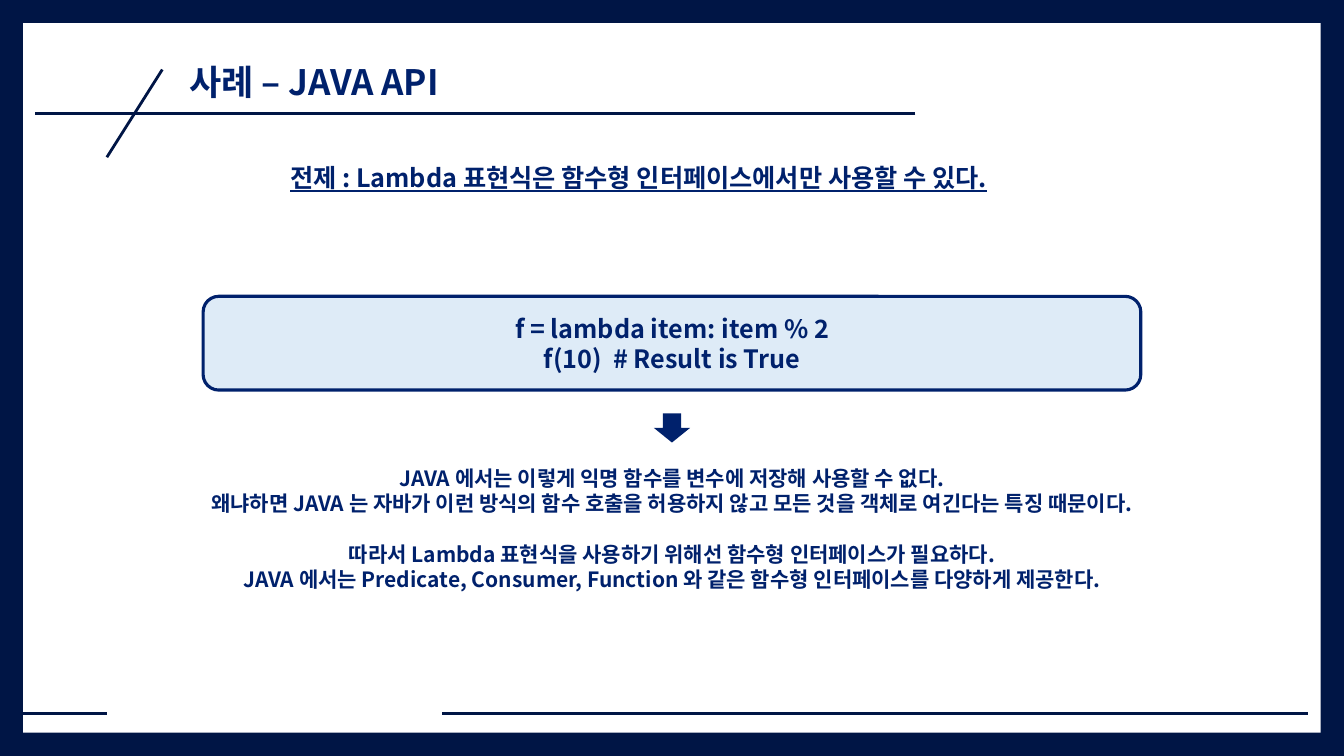
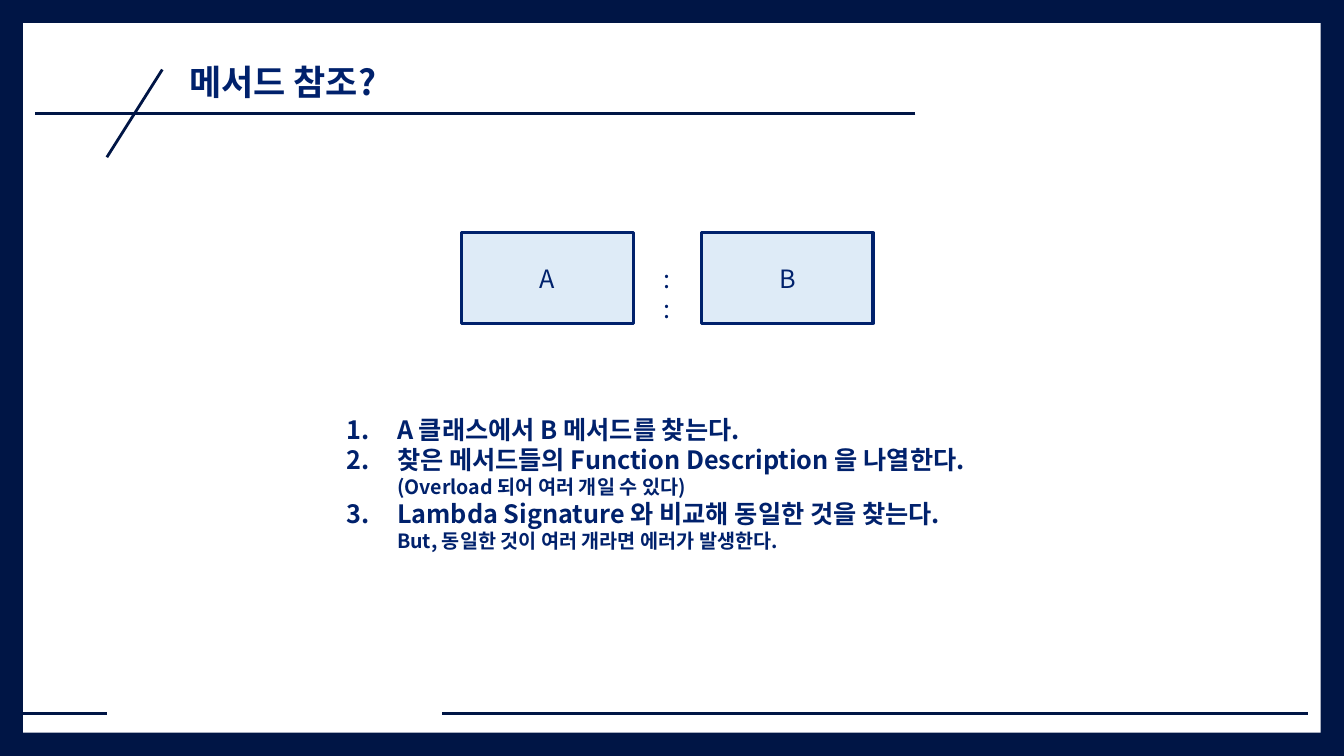
import pptx
import pptx.util
import pptx.dml.color
import pptx.enum.shapes
import pptx.enum.text
import pptx.oxml.ns
import lxml.etree

WIDTH, HEIGHT, BORDER = 13.33, 7.5, 0.23
FONT = "Noto Sans CJK KR"
DARK, NAVY, PALE, WHITE = "001545", "00216C", "DEEBF7", "FFFFFF"
SHAPES = pptx.enum.shapes.MSO_SHAPE
LEFT, CENTER = pptx.enum.text.PP_ALIGN.LEFT, pptx.enum.text.PP_ALIGN.CENTER
TOP, MIDDLE = pptx.enum.text.MSO_ANCHOR.TOP, pptx.enum.text.MSO_ANCHOR.MIDDLE

FRAME_LINES = [
    (9.08, 1.13, 0.35, 1.13),
    (1.06, 1.56, 1.61, 0.69),
    (12.97, 7.08, 4.38, 7.08),
    (1.06, 7.08, BORDER, 7.08),
]

API_TITLE = "사례 – JAVA API"
PREMISE = "전제 : Lambda 표현식은 함수형 인터페이스에서만 사용할 수 있다."
CODE = ["f = lambda item: item % 2", "f(10)  # Result is True"]
REASONS = [
    "JAVA 에서는 이렇게 익명 함수를 변수에 저장해 사용할 수 없다.",
    "왜냐하면 JAVA 는 자바가 이런 방식의 함수 호출을 허용하지 않고 모든 것을 객체로 여긴다는 특징 때문이다.",
    "따라서 Lambda 표현식을 사용하기 위해선 함수형 인터페이스가 필요하다.",
    "JAVA 에서는 Predicate, Consumer, Function 와 같은 함수형 인터페이스를 다양하게 제공한다.",
]
GROUP_START = 2

REFERENCE_TITLE = "메서드 참조?"
OPERANDS = ["A", "B"]
OPERATOR = "::"
STEPS = [
    ("A 클래스에서 B 메서드를 찾는다.",),
    ("찾은 메서드들의 Function Description 을 나열한다.", "(Overload 되어 여러 개일 수 있다)"),
    ("Lambda Signature 와 비교해 동일한 것을 찾는다.", "But, 동일한 것이 여러 개라면 에러가 발생한다."),
]
NOTE_SIZE = 14


def color(value):
    return pptx.dml.color.RGBColor.from_string(value)


def inches(values):
    return [pptx.util.Inches(value) for value in values]


def centered(width):
    return (WIDTH - width) / 2


def paint(target, value):
    target.solid()
    target.fore_color.rgb = color(value)


def add_span(para, text, size, **formats):
    span = para.add_run()
    span.text = text
    span.font.color.rgb = color(NAVY)
    for name, value in {"name": FONT, "size": pptx.util.Pt(size), **formats}.items():
        setattr(span.font, name, value)
    east = lxml.etree.SubElement(span.font._element, pptx.oxml.ns.qn("a:ea"))
    east.set("typeface", FONT)


def write(box, paragraphs, size=18, align=LEFT, anchor=TOP, **formats):
    frame = box.text_frame
    frame.word_wrap = True
    frame.vertical_anchor = anchor
    for index, lines in enumerate(paragraphs):
        para = frame.add_paragraph() if index else frame.paragraphs[0]
        para.alignment = align
        first, *notes = [lines] if isinstance(lines, str) else lines
        add_span(para, first, size, **formats)
        for note in notes:
            para.add_line_break()
            add_span(para, note, NOTE_SIZE, **formats)
    return frame.paragraphs


def add_text(page, at, paragraphs, **formats):
    return write(page.shapes.add_textbox(*inches(at)), paragraphs, **formats)


def add_block(page, kind, at, fill, outline=None):
    block = page.shapes.add_shape(kind, *inches(at))
    block.shadow.inherit = False
    paint(block.fill, fill)
    if outline:
        paint(block.line.fill, outline)
        block.line.width = pptx.util.Pt(2.25)
    else:
        block.line.fill.background()
    return block


def add_line(page, ends):
    line = page.shapes.add_connector(pptx.enum.shapes.MSO_CONNECTOR.STRAIGHT, *inches(ends))
    paint(line.line.fill, DARK)
    line.line.width = pptx.util.Pt(2)
    lxml.etree.SubElement(line._element.spPr, pptx.oxml.ns.qn("a:effectLst"))


def number(para):
    props = para._p.get_or_add_pPr()
    indent = pptx.util.Inches(0.5)
    props.set("marL", str(indent))
    props.set("indent", str(-indent))
    bullet = lxml.etree.SubElement(props, pptx.oxml.ns.qn("a:buAutoNum"))
    bullet.set("type", "arabicPeriod")


def add_page(deck, title):
    page = deck.slides.add_slide(deck.slide_layouts[6])
    paint(page.background.fill, DARK)
    add_block(page, SHAPES.RECTANGLE,
              (BORDER, BORDER, WIDTH - 2 * BORDER, HEIGHT - 2 * BORDER), WHITE)
    for ends in FRAME_LINES:
        add_line(page, ends)
    add_text(page, (1.78, 0.55, 6, 0.52), [title], size=25, bold=True)
    return page


def build_api(deck):
    page = add_page(deck, API_TITLE)
    add_text(page, (2.78, 1.56, 7.78, 0.4), [PREMISE], bold=True, underline=True)
    code = add_block(page, SHAPES.ROUNDED_RECTANGLE, (centered(9.3), 2.94, 9.3, 0.93), PALE, NAVY)
    write(code, CODE, align=CENTER, anchor=MIDDLE, bold=True)
    add_block(page, SHAPES.DOWN_ARROW, (centered(0.36), 4.1, 0.36, 0.29), NAVY)
    reasons = add_text(page, (centered(10.5), 4.57, 10.5, 1.36), REASONS,
                       size=15, align=CENTER, bold=True)
    reasons[GROUP_START].space_before = pptx.util.Pt(18)


def build_reference(deck):
    page = add_page(deck, REFERENCE_TITLE)
    left, top, width, height, gap = 4.58, 2.31, 1.7, 0.9, 0.68
    for index, operand in enumerate(OPERANDS):
        block = add_block(page, SHAPES.RECTANGLE,
                          (left + index * (width + gap), top, width, height), PALE, NAVY)
        write(block, [operand], align=CENTER, anchor=MIDDLE)
    add_text(page, (left + width + 0.2, 2.56, 0.31, 0.4), [OPERATOR])
    for para in add_text(page, (3.34, 4.06, 6.66, 1.51), STEPS, bold=True):
        number(para)


def main():
    deck = pptx.Presentation()
    deck.slide_width, deck.slide_height = inches((WIDTH, HEIGHT))
    build_api(deck)
    build_reference(deck)
    deck.save("out.pptx")


if __name__ == "__main__":
    main()
